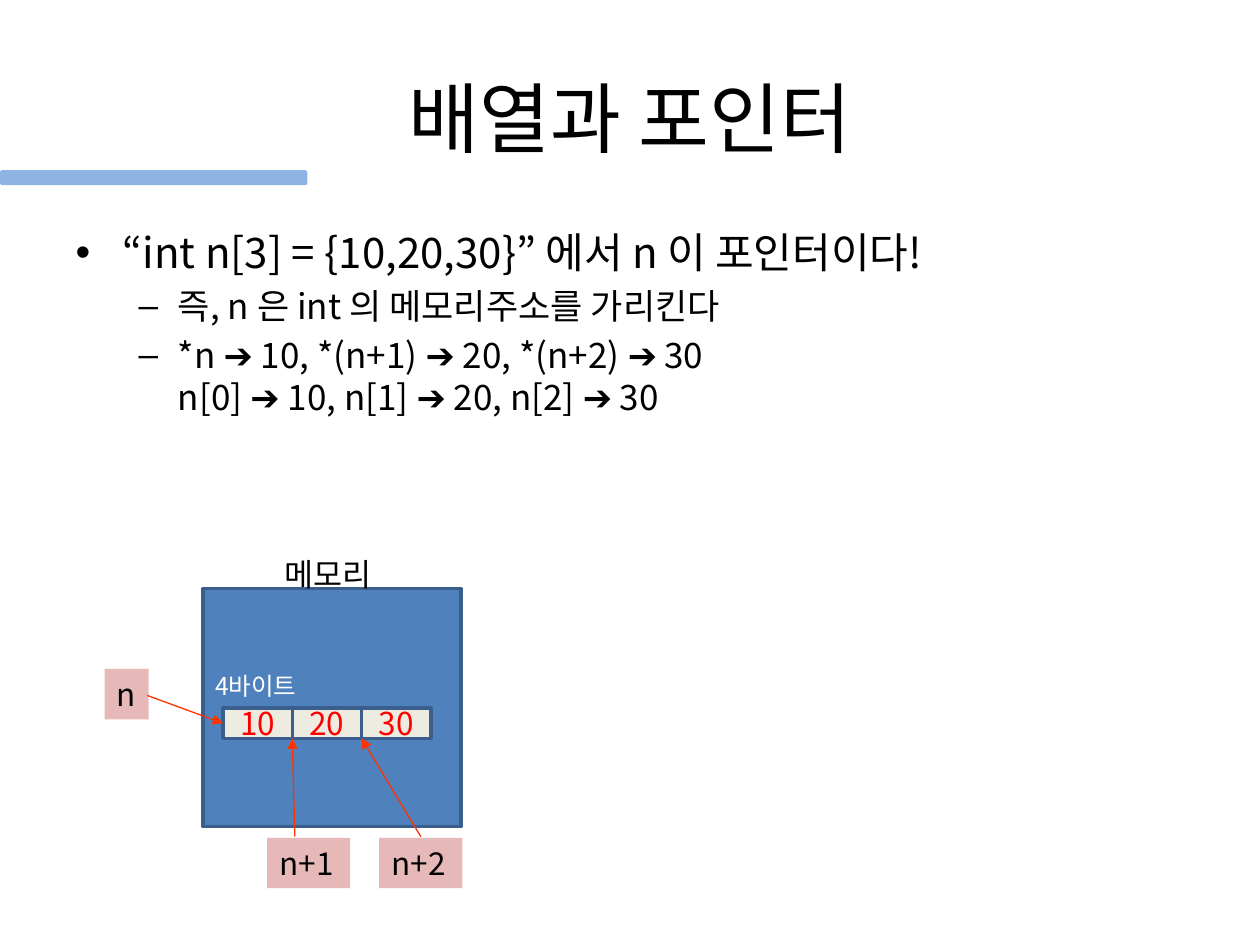
from lxml import etree
from pptx import Presentation
from pptx.dml.color import RGBColor as RGB
from pptx.enum.shapes import MSO_CONNECTOR as Link, MSO_SHAPE as Form
from pptx.enum.text import MSO_ANCHOR as Anchor, MSO_AUTO_SIZE as Fit, PP_ALIGN as Align
from pptx.oxml.ns import qn
from pptx.util import Inches, Pt

FONT = "Noto Sans CJK KR"
COLORS = {
    "text": "000000", "light": "FFFFFF", "value": "FF0000",
    "memory": "4F81BD", "edge": "3A5F8C", "cell": "EEECE1",
    "tag": "E6B9B8", "arrow": "FF3300", "bar": "8EB4E3",
}


class Deck:
    def __init__(self):
        self.file = Presentation()
        self.file.slide_width, self.file.slide_height = Inches(10), Inches(7.5)
        self.slide = self.file.slides.add_slide(self.file.slide_layouts[1])
        self.shapes = self.slide.shapes

    def color(self, name):
        return RGB.from_string(COLORS[name])

    def style(self, para, size, color="text", align=None):
        font = para.font
        font.name, font.size = FONT, Pt(size)
        font.color.rgb = self.color(color)
        # Hangul takes its face from the East Asian slot
        latin = font._element.find(qn("a:latin"))
        east = etree.Element(qn("a:ea"), typeface=FONT)
        latin.addnext(east)
        if align is not None:
            para.alignment = align

    def place(self, item, left, top, width, height):
        item.left, item.top = Inches(left), Inches(top)
        item.width, item.height = Inches(width), Inches(height)

    def title(self, text, *spot):
        item = self.shapes.title
        self.place(item, *spot)
        frame = item.text_frame
        frame.text, frame.vertical_anchor = text, Anchor.MIDDLE
        self.style(frame.paragraphs[0], 44, align=Align.CENTER)

    def body(self, rows, *spot):
        item = self.slide.placeholders[1]
        self.place(item, *spot)
        frame = item.text_frame
        frame.auto_size = Fit.NONE
        for i, (level, text) in enumerate(rows):
            para = frame.add_paragraph() if i else frame.paragraphs[0]
            para.text, para.level = text, level
            if i == 0:
                para.space_before = Pt(0)
            self.style(para, 20 if level else 24)

    def box(self, fill, *spot, form=Form.RECTANGLE, edge=None):
        item = self.shapes.add_shape(form, *map(Inches, spot))
        item.shadow.inherit = False
        item.fill.solid()
        item.fill.fore_color.rgb = self.color(fill)
        if edge:
            item.line.color.rgb = self.color(edge)
            item.line.width = Pt(2)
        else:
            item.line.fill.background()
        return item

    def cell(self, text, *spot):
        frame = self.box("cell", *spot, edge="edge").text_frame
        frame.text, frame.vertical_anchor = text, Anchor.MIDDLE
        self.style(frame.paragraphs[0], 18, "value", Align.CENTER)

    def letter(self, item, text, size, color="text"):
        frame = item.text_frame
        frame.text, frame.vertical_anchor = text, Anchor.TOP
        frame.word_wrap, frame.auto_size = False, Fit.SHAPE_TO_FIT_TEXT
        self.style(frame.paragraphs[0], size, color, Align.LEFT)

    def label(self, text, size, color, *spot):
        self.letter(self.shapes.add_textbox(*map(Inches, spot)), text, size, color)

    def tag(self, text, *spot):
        self.letter(self.box("tag", *spot), text, 18)

    def arrow(self, *ends):
        item = self.shapes.add_connector(Link.STRAIGHT, *map(Inches, ends))
        item.line.color.rgb = self.color("arrow")
        item.line.width = Pt(0.75)
        line = item.line._get_or_add_ln()
        etree.SubElement(line, qn("a:tailEnd"), type="triangle")
        etree.SubElement(item._element.spPr, qn("a:effectLst"))


def main():
    deck = Deck()

    # Heading and points
    deck.title("배열과 포인터", 0.5, 0.3, 9, 1.25)
    deck.body([
        (0, "“int n[3] = {10,20,30}” 에서 n 이 포인터이다!"),
        (1, "즉, n 은 int 의 메모리주소를 가리킨다"),
        (1, "*n ➔ 10, *(n+1) ➔ 20, *(n+2) ➔ 30\n"
            "n[0] ➔ 10, n[1] ➔ 20, n[2] ➔ 30"),
    ], 0.5, 1.75, 9, 4.95)
    deck.box("bar", 0, 1.35, 2.44, 0.12, form=Form.ROUNDED_RECTANGLE)

    # Memory block with its array cells
    deck.box("memory", 1.61, 4.67, 2.05, 1.89, edge="edge")
    deck.label("4바이트", 14, "light", 1.61, 5.28, 0.9, 0.34)
    deck.label("메모리", 18, "text", 2.16, 4.36, 0.96, 0.4)
    left, top, wide, high = 1.77, 5.62, 0.55, 0.24
    for i, value in enumerate((10, 20, 30)):
        deck.cell(str(value), left + i * wide, top, wide, high)

    # Pointers, each aimed at the left edge of its cell
    deck.tag("n", 0.83, 5.31, 0.35, 0.4)
    deck.arrow(1.17, 5.52, left, top + high / 2)
    for i, spot, start in ((1, 2.12, 2.34), (2, 3.01, 3.34)):
        deck.tag(f"n+{i}", spot, 6.65, 0.66, 0.4)
        deck.arrow(start, 6.64, left + i * wide, top + high)

    deck.file.save("out.pptx")


if __name__ == "__main__":
    main()
